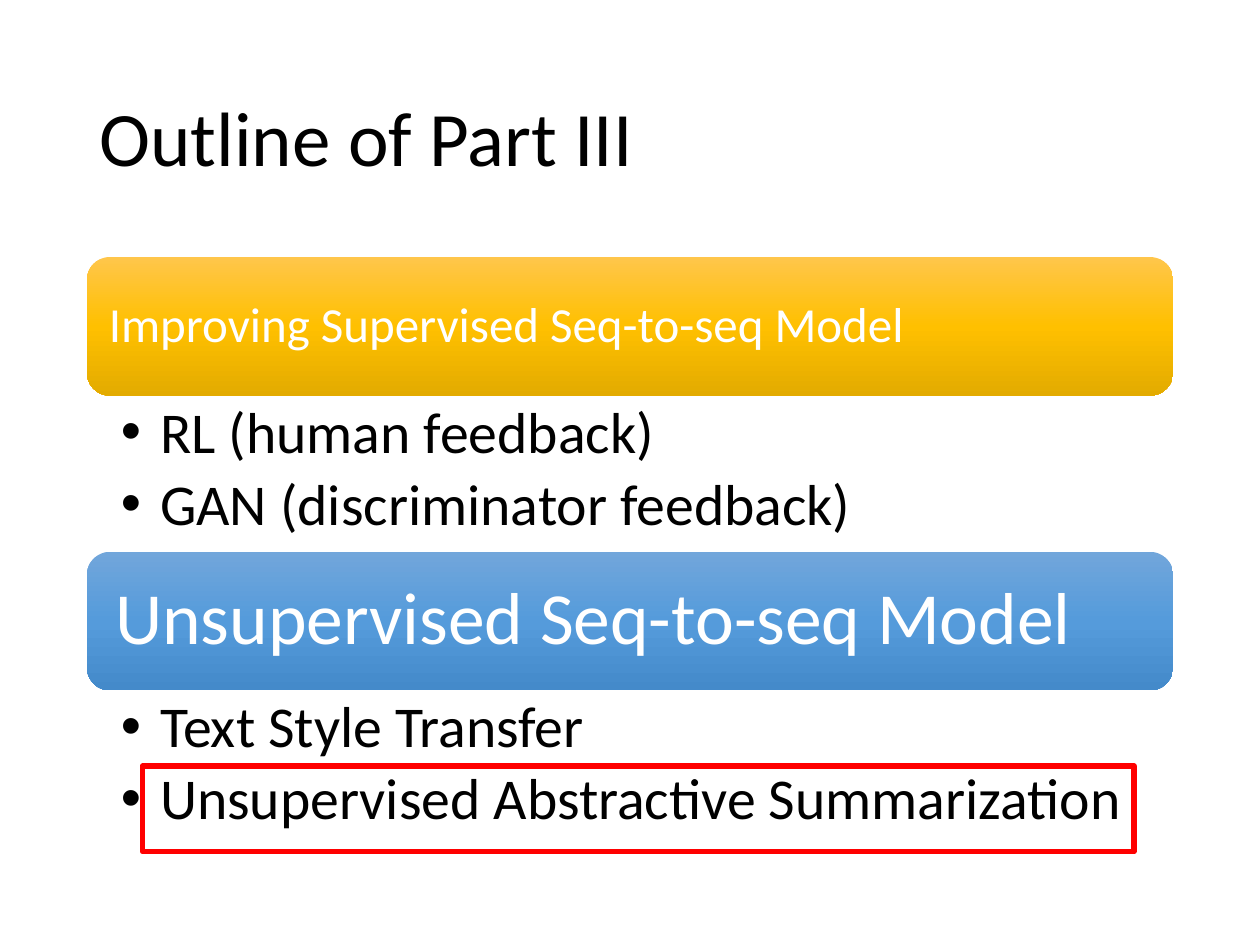
from copy import deepcopy

from lxml import etree
from pptx import Presentation, util as u
from pptx.dml.color import RGBColor
from pptx.enum import shapes, text
from pptx.oxml.ns import qn

COLORS = {
    "title": "000000", "topic": "000000", "heading": "FFFFFF", "highlight": "FF0000",
    "gold": ["FFC64B", "FFC000", "E3AB00"],
    "blue": ["71A6DB", "559BDB", "448ACA"],
}
LEFT, WIDTH = 0.69, 8.62
BAR_TOP, BAR_HEIGHT, TOPICS_HEIGHT = 2.04, 1.1, 1.24

SECTIONS = [
    ("Improving Supervised Seq-to-seq Model", 28, 0.17, "gold",
     ["RL (human feedback)", "GAN (discriminator feedback)"]),
    ("Unsupervised Seq-to-seq Model", 42, 0.22, "blue",
     ["Text Style Transfer", "Unsupervised Abstractive Summarization"]),
]


def style(paragraph, size, color):
    paragraph.alignment = text.PP_ALIGN.LEFT
    paragraph.line_spacing = 0.9
    paragraph.font.name = "Calibri"
    paragraph.font.size = u.Pt(size)
    paragraph.font.color.rgb = RGBColor.from_string(COLORS[color])


def fill_downward(shape, hex_stops):
    """Fill with a top-to-bottom gradient of evenly spaced stops."""
    shape.fill.gradient()
    shape.fill.gradient_angle = 270
    stop_list = shape.fill._xPr.find(".//" + qn("a:gsLst"))
    stop_list.insert(1, deepcopy(stop_list[0]))
    for i, (stop, color) in enumerate(zip(shape.fill.gradient_stops, hex_stops)):
        stop.position = i / (len(hex_stops) - 1)
        stop.color.rgb = RGBColor.from_string(color)


deck = Presentation()
deck.slide_width, deck.slide_height = u.Inches(10), u.Inches(7.5)
slide = deck.slides.add_slide(deck.slide_layouts[5])

title = slide.shapes.title
title.left, title.top = u.Inches(LEFT), u.Inches(0.4)
title.width, title.height = u.Inches(WIDTH), u.Inches(1.45)
title.text_frame.text = "Outline of Part III"
title.text_frame.vertical_anchor = text.MSO_ANCHOR.MIDDLE
style(title.text_frame.paragraphs[0], 44, "title")

for row, (heading, size, inset, palette, topics) in enumerate(SECTIONS):
    top = BAR_TOP + row * (BAR_HEIGHT + TOPICS_HEIGHT)
    bar = slide.shapes.add_shape(
        shapes.MSO_SHAPE.ROUNDED_RECTANGLE,
        u.Inches(LEFT), u.Inches(top), u.Inches(WIDTH), u.Inches(BAR_HEIGHT))
    bar.shadow.inherit = False
    bar.line.fill.background()
    fill_downward(bar, COLORS[palette])
    frame = bar.text_frame
    frame.text = heading
    frame.vertical_anchor = text.MSO_ANCHOR.MIDDLE
    # The rounded corners already inset the text by about 0.05 inch.
    frame.margin_left = frame.margin_right = u.Inches(inset - 0.05)
    frame.margin_top = frame.margin_bottom = u.Inches(inset - 0.05)
    style(frame.paragraphs[0], size, "heading")

    topic_box = slide.shapes.add_textbox(
        u.Inches(LEFT), u.Inches(top + BAR_HEIGHT), u.Inches(WIDTH), u.Inches(TOPICS_HEIGHT))
    frame = topic_box.text_frame
    frame.word_wrap = True
    frame.margin_left, frame.margin_right = u.Inches(0.27), u.Inches(0.33)
    frame.margin_top = frame.margin_bottom = u.Inches(0.06)
    frame.text = "\n".join(topics)
    for paragraph in frame.paragraphs:
        paragraph.level = 1
        properties = paragraph._p.get_or_add_pPr()
        properties.set("marL", str(u.Inches(0.31)))
        properties.set("indent", str(-u.Inches(0.31)))
        etree.SubElement(properties, qn("a:buFont")).set("typeface", "Arial")
        etree.SubElement(properties, qn("a:buChar")).set("char", "•")
        style(paragraph, 33, "topic")
        paragraph.space_after = u.Pt(5.5)

highlight = slide.shapes.add_shape(
    shapes.MSO_SHAPE.RECTANGLE, u.Inches(1.13), u.Inches(6.08), u.Inches(7.87), u.Inches(0.68))
highlight.shadow.inherit = False
highlight.fill.background()
highlight.line.color.rgb = RGBColor.from_string(COLORS["highlight"])
highlight.line.width = u.Pt(3)

deck.save("out.pptx")
